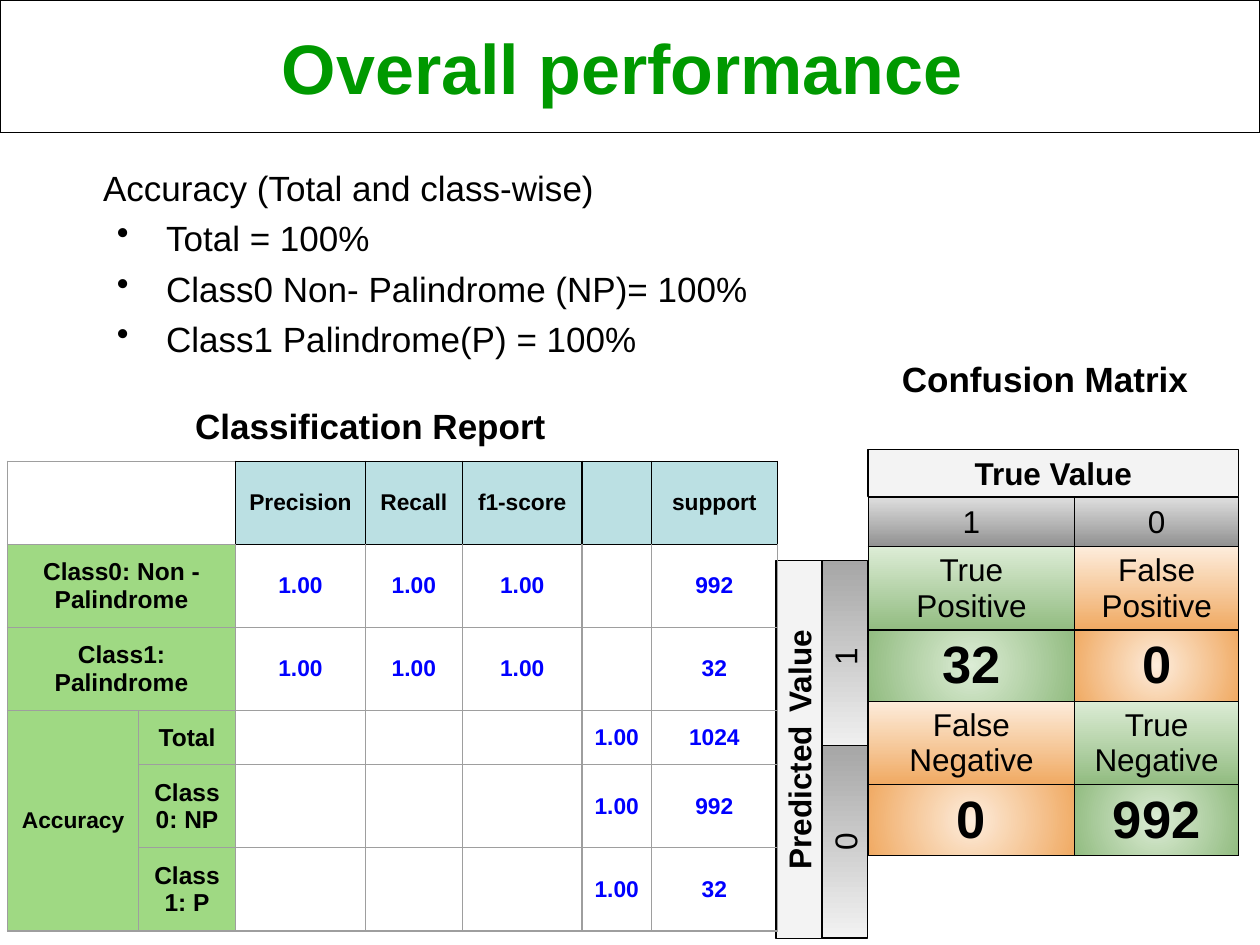
"""Build the slide on overall performance: classification report and confusion matrix."""
from dataclasses import dataclass
from typing import Any

from lxml import etree
from pptx import Presentation
from pptx import util as u
from pptx.dml.color import RGBColor
from pptx.enum import shapes, text
from pptx.oxml import ns

BLACK = RGBColor(0x00, 0x00, 0x00)
GREY = RGBColor(0x9E, 0x9E, 0x9E)
PALE = RGBColor(0xF3, 0xF3, 0xF3)
TITLE = RGBColor(0x00, 0x99, 0x00)
VALUE = RGBColor(0x00, 0x00, 0xFF)
HEADER = RGBColor(0xBB, 0xE0, 0xE3)
LABEL = RGBColor(0x9F, 0xD9, 0x83)
SILVER = (RGBColor(0xDD, 0xDD, 0xDD), RGBColor(0x91, 0x91, 0x91))
STEEL = (RGBColor(0xF2, 0xF2, 0xF2), RGBColor(0xA6, 0xA6, 0xA6))
GREEN = (RGBColor(0xDC, 0xEC, 0xD5), RGBColor(0x92, 0xBC, 0x81))
ORANGE = (RGBColor(0xFD, 0xEC, 0xDB), RGBColor(0xF0, 0xAA, 0x63))


@dataclass
class Painter:
    """Hold the style and the current slide."""

    page: Any
    font: str = "Arial"
    border: float = 0.75

    def add_spans(self, para, spans, centred=True, color=BLACK):
        """Add (words, size, bold) spans to a paragraph."""
        if centred:
            para.alignment = text.PP_ALIGN.CENTER
        for words, size, bold in spans:
            span = para.add_run()
            span.text = words
            for name, value in {"name": self.font, "size": u.Pt(size), "bold": bold}.items():
                setattr(span.font, name, value)
            span.font.color.rgb = color

    def paint(self, fill, color, angle=0):
        """Apply no fill, one colour or a two-colour linear gradient."""
        if color is None:
            fill.background()
        elif isinstance(color, RGBColor):
            fill.solid()
            fill.fore_color.rgb = color
        else:
            fill.gradient()
            fill.gradient_angle = angle
            for stop, shade in zip(fill.gradient_stops, color):
                stop.color.rgb = shade

    def box(self, area, spans, fill=None, rotation=0, color=BLACK):
        """Draw an outlined rectangle with centred text."""
        box = self.page.shapes.add_shape(
            shapes.MSO_SHAPE.RECTANGLE, *map(u.Inches, area))
        box.shadow.inherit = False
        box.rotation = rotation
        self.paint(box.fill, fill)
        box.line.color.rgb = BLACK
        box.line.width = u.Pt(self.border)
        frame = box.text_frame
        frame.word_wrap = True
        frame.vertical_anchor = text.MSO_ANCHOR.MIDDLE
        self.add_spans(frame.paragraphs[0], spans, color=color)

    def text(self, area, lead, bullets=(), bold=False):
        """Place a lead line and optional bullets."""
        frame = self.page.shapes.add_textbox(*map(u.Inches, area)).text_frame
        frame.word_wrap = True
        for index, words in enumerate((lead, *bullets)):
            para = frame.add_paragraph() if index else frame.paragraphs[0]
            para.space_before = u.Pt(4.8)
            self.add_spans(para, [(words, 20, bold)], centred=False)
            if index:
                props = para._p.get_or_add_pPr()
                props.set("marL", str(u.Inches(0.5)))
                props.set("indent", str(u.Inches(-0.39)))
                etree.SubElement(props, ns.qn("a:buChar"), char="•")

    def table(self, left, top, widths, heights):
        """Add a table without a banded style."""
        frame = self.page.shapes.add_table(
            len(heights), len(widths), u.Inches(left), u.Inches(top),
            u.Inches(sum(widths)), u.Inches(sum(heights)))
        table = frame.table
        table.first_row = table.horz_banding = False
        for column, width in zip(table.columns, widths):
            column.width = u.Inches(width)
        for row, height in zip(table.rows, heights):
            row.height = u.Inches(height)
        return table

    def cell(self, cell, words, size, bold, edges, fill=None, color=BLACK, radial=False):
        """Fill, frame and label a cell; edges run left, right, top, bottom."""
        self.paint(cell.fill, fill, 270)
        props = cell._tc.get_or_add_tcPr()
        if radial:
            gradient = props.find(ns.qn("a:gradFill"))
            gradient.remove(gradient.find(ns.qn("a:lin")))
            shape = etree.SubElement(gradient, ns.qn("a:path"), attrib={"path": "circle"})
            etree.SubElement(shape, ns.qn("a:fillToRect"), dict.fromkeys("ltrb", "50000"))
        for index, (side, edge) in enumerate(zip("LRTB", edges)):
            line = etree.Element(ns.qn(f"a:ln{side}"), w=str(u.Pt(self.border)))
            solid = etree.SubElement(line, ns.qn("a:solidFill"))
            etree.SubElement(solid, ns.qn("a:srgbClr"), val=str(edge))
            props.insert(index, line)
        cell.vertical_anchor = text.MSO_ANCHOR.MIDDLE
        if words:
            self.add_spans(cell.text_frame.paragraphs[0], [(words, size, bold)], color=color)


def add_confusion_matrix(painter):
    """Add the matrix cells and the axis labels around them."""
    rows = [
        ("1", "0", SILVER, SILVER),
        ("True Positive", "False Positive", GREEN, ORANGE),
        ("32", "0", GREEN, ORANGE),
        ("False Negative", "True Negative", ORANGE, GREEN),
        ("0", "992", ORANGE, GREEN),
    ]
    matrix = painter.table(6.89, 3.95, [1.64, 1.3], [0.39, 0.63, 0.55, 0.63, 0.55])
    for index, row in enumerate(rows):
        count = index in (2, 4)
        for column in range(2):
            painter.cell(matrix.cell(index, column), row[column], 30 if count else 18,
                         count, [BLACK] * 4, row[column + 2], radial=count)
    predicted = [("Predicted", 18, True), ("  ", 14, True), ("Value", 18, True)]
    painter.box((4.84, 5.77, 3, 0.36), predicted, PALE, 270)
    for words, top in (("1", 5.03), ("0", 6.5)):
        painter.box((5.94, top, 1.53, 0.36), [(words, 18, False)], STEEL, 270)
    painter.box((6.89, 3.57, 2.94, 0.37), [("True Value", 18, True)], PALE)


def add_classification_report(painter):
    """Add the report with merged class and accuracy labels."""
    rows = [
        ("", "", "Precision", "Recall", "f1-score", "", "support"),
        ("Class0: Non - Palindrome", "", "1.00", "1.00", "1.00", "", "992"),
        ("Class1: Palindrome", "", "1.00", "1.00", "1.00", "", "32"),
        ("Accuracy", "Total", "", "", "", "1.00", "1024"),
        ("", "Class0: NP", "", "", "", "1.00", "992"),
        ("", "Class1: P", "", "", "", "1.00", "32"),
    ]
    report = painter.table(0.06, 3.66, [1.04, 0.77, 1.03, 0.77, 0.95, 0.55, 1],
                           [0.66, 0.66, 0.66, 0.43, 0.66, 0.66])
    for index in range(3):
        report.cell(index, 0).merge(report.cell(index, 1))
    report.cell(3, 0).merge(report.cell(5, 0))
    for index, row in enumerate(rows):
        for column, words in enumerate(row):
            label, head = column < 2, index == 0
            edges = [GREY] * 4
            if head:
                edges = [GREY, BLACK, GREY, GREY] if label else [BLACK] * 4
            elif index == 1 and not label:
                edges[2] = BLACK
            fill = (None if label else HEADER) if head else (LABEL if label else None)
            size = 14 if label and words != "Accuracy" else 13
            color = BLACK if label or head else VALUE
            painter.cell(report.cell(index, column), words, size, True, edges, fill, color)


def main():
    """Build and save the deck."""
    deck = Presentation()
    deck.slide_width, deck.slide_height = u.Inches(10), u.Inches(7.5)
    painter = Painter(deck.slides.add_slide(deck.slide_layouts[6]))
    add_confusion_matrix(painter)
    painter.text((0.72, 1.27, 5.7, 1.95), "Accuracy (Total and class-wise)", (
        "Total = 100%", "Class0 Non- Palindrome (NP)= 100%", "Class1 Palindrome(P) = 100%"))
    add_classification_report(painter)
    painter.text((7.06, 2.79, 2.94, 0.5), "Confusion Matrix", bold=True)
    painter.text((1.45, 3.16, 3.75, 0.5), "Classification Report", bold=True)
    painter.box((0, 0, 10, 1.05), [("Overall performance", 40, True), (" ", 33, True)],
                color=TITLE)
    deck.save("out.pptx")


if __name__ == "__main__":
    main()
